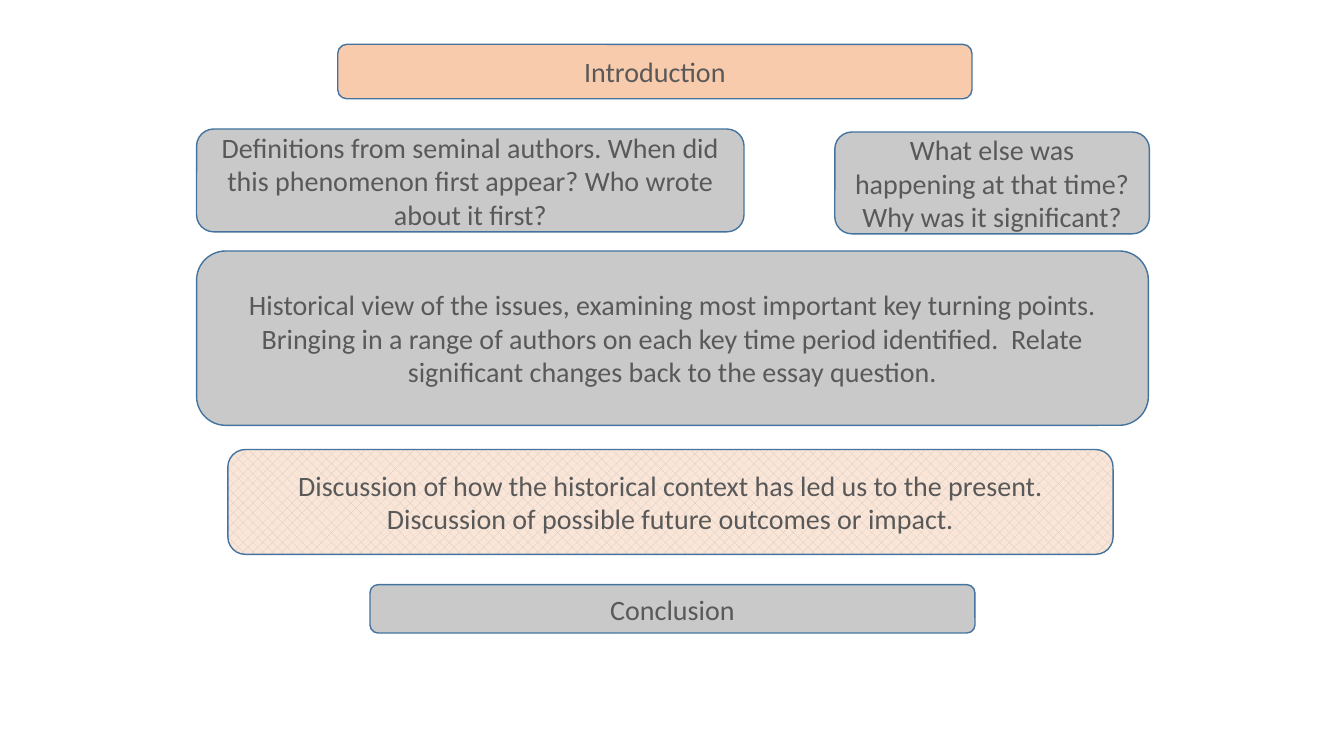
from pptx import Presentation
from pptx.dml.color import RGBColor
from pptx.enum.dml import MSO_PATTERN
from pptx.enum.shapes import MSO_SHAPE
from pptx.enum.text import MSO_ANCHOR, PP_ALIGN
from pptx.util import Emu, Pt

ROUNDED = MSO_SHAPE.ROUNDED_RECTANGLE
DOTTED = MSO_PATTERN.PERCENT_30
MIDDLE = MSO_ANCHOR.MIDDLE
CENTER = PP_ALIGN.CENTER

EMU_PER_PX = 9144  # 100 px to the inch

PEACH = "F8CBAD"
PALE_PEACH = "FBE5D6"
GREY = "C9C9C9"
OUTLINE = "43739E"
TEXT = "595959"

LEFT_EDGE = 195


def px(length):
    return Emu(length * EMU_PER_PX)


def color(hex_value):
    return RGBColor.from_string(hex_value)


FONT_FORMAT = {"name": "Calibri", "size": Pt(20)}


def fill_solid(shape, hex_value):
    shape.fill.solid()
    shape.fill.fore_color.rgb = color(hex_value)


def fill_pattern(shape, foreground, background):
    shape.fill.patterned()
    shape.fill.pattern = DOTTED
    shape.fill.fore_color.rgb = color(foreground)
    shape.fill.back_color.rgb = color(background)


def write_text(shape, text):
    frame = shape.text_frame
    frame.word_wrap = True
    frame.vertical_anchor = MIDDLE
    paragraph = frame.paragraphs[0]
    paragraph.alignment = CENTER
    run = paragraph.add_run()
    run.text = text
    for attribute, value in FONT_FORMAT.items():
        setattr(run.font, attribute, value)
    run.font.color.rgb = color(TEXT)


def add_box(slide, bounds, text, fill=GREY):
    shape = slide.shapes.add_shape(ROUNDED, *map(px, bounds))
    shape.shadow.inherit = False
    fill_solid(shape, fill)
    shape.line.color.rgb = color(OUTLINE)
    shape.line.width = Pt(1)
    write_text(shape, text)
    return shape


def main():
    presentation = Presentation()
    presentation.slide_width = px(1333)
    presentation.slide_height = px(750)
    slide = presentation.slides.add_slide(presentation.slide_layouts[6])

    # Opening of the essay
    add_box(slide, (335, 44, 629, 54), "Introduction", PEACH)

    # Origins and context, side by side
    add_box(slide, (LEFT_EDGE, 128, 543, 102),
            "Definitions from seminal authors. When did this phenomenon "
            "first appear? Who wrote about it first?")
    add_box(slide, (828, 131, 312, 101),
            "What else was happening at that time? Why was it significant?")

    # Historical body
    add_box(slide, (LEFT_EDGE, 249, 944, 173),
            "Historical view of the issues, examining most important key "
            "turning points. Bringing in a range of authors on each key time "
            "period identified.  Relate significant changes back to the "
            "essay question.")

    # Discussion and close
    discussion = add_box(slide, (226, 446, 878, 104),
                         "Discussion of how the historical context has led us "
                         "to the present. Discussion of possible future "
                         "outcomes or impact.")
    fill_pattern(discussion, GREY, PALE_PEACH)
    add_box(slide, (367, 580, 600, 48), "Conclusion")

    presentation.save("out.pptx")


if __name__ == "__main__":
    main()
